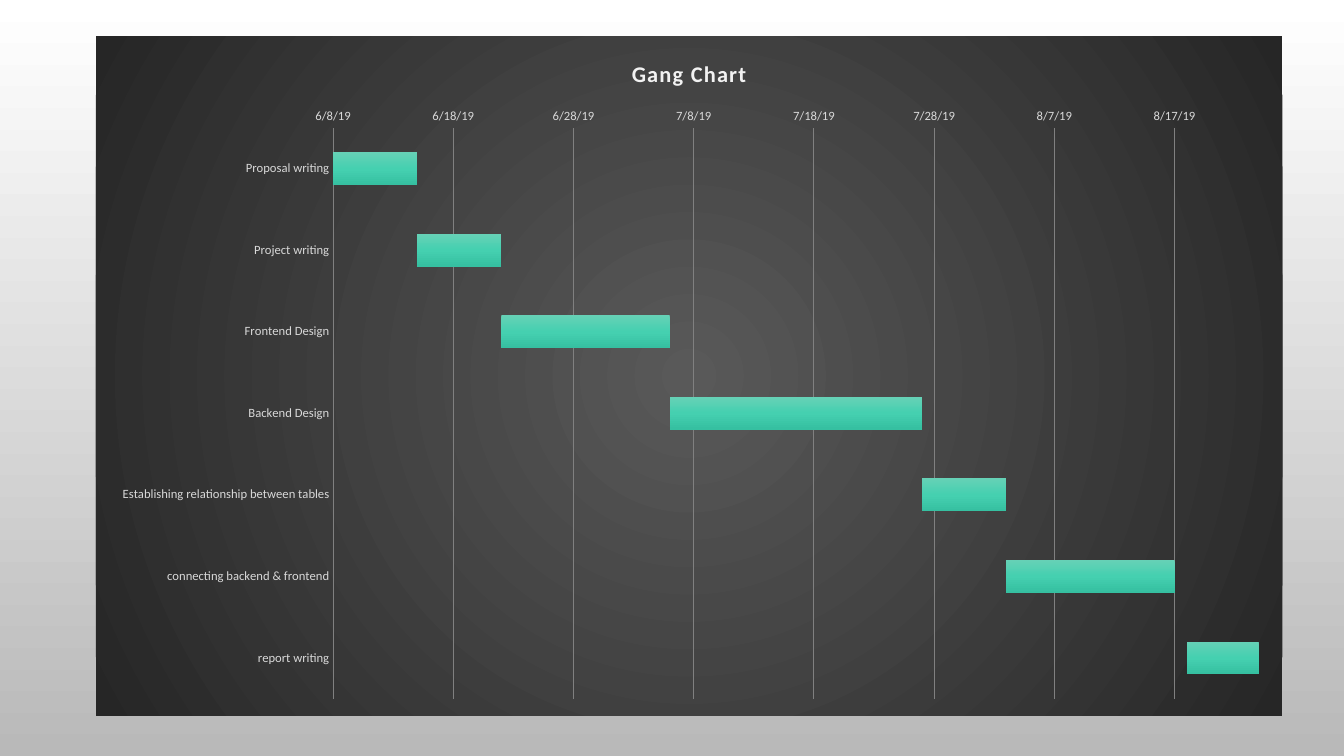
from lxml import etree
from pptx import Presentation
from pptx import util as u
from pptx.chart.data import CategoryChartData
from pptx.dml.color import RGBColor
from pptx.enum import chart as charts
from pptx.oxml import parse_xml
from pptx.oxml.ns import nsdecls, qn

TITLE = "Gang Chart"
TASKS = [
    ("Proposal writing", 43624, 7),
    ("Project writing", 43631, 7),
    ("Frontend Design", 43638, 14),
    ("Backend Design", 43652, 21),
    ("Establishing relationship between tables", 43673, 7),
    ("connecting backend & frontend", 43680, 14),
    ("report writing", 43695, 7),
]
FIRST_DAY, LAST_DAY, DAY_STEP = 43624, 43701, 10
SLIDE_SIZE = 13.33, 7.5
CHART_BOX = 0.95, 0.36, 11.77, 6.74
PLOT_SHARES = {"x": 0.2, "y": 0.135, "w": 0.78, "h": 0.84}

FONT = "Calibri"
BLACK = RGBColor(0x00, 0x00, 0x00)
TITLE_COLOR = RGBColor(0xF2, 0xF2, 0xF2)
LABEL_COLOR = RGBColor(0xD9, 0xD9, 0xD9)
GRID_COLOR = RGBColor(0x80, 0x80, 0x80)
PAGE_STOPS = [(0, RGBColor(0xFF, 0xFF, 0xFF)), (100, RGBColor(0xB9, 0xB9, 0xB9))]
PANEL_STOPS = [(0, RGBColor(0x59, 0x59, 0x59)), (100, RGBColor(0x26, 0x26, 0x26))]
BAR_STOPS = [
    (0, RGBColor(0x66, 0xD1, 0xB6)),
    (50, RGBColor(0x45, 0xD0, 0xB0)),
    (100, RGBColor(0x36, 0xC0, 0xA1)),
]
DOWNWARD = '<a:lin ang="5400000" scaled="0"/>'
FROM_CENTRE = (
    '<a:path path="circle"><a:fillToRect l="50000" t="50000" r="50000" b="50000"/></a:path>'
)


def set_gradient(element, stops, direction):
    """Replace the gradient found inside an element."""
    marks = "".join(
        f'<a:gs pos="{share * 1000}"><a:srgbClr val="{color}"/></a:gs>' for share, color in stops
    )
    gradient = parse_xml(
        f'<a:gradFill {nsdecls("a")} rotWithShape="1"><a:gsLst>{marks}</a:gsLst>{direction}</a:gradFill>'
    )
    current = next(element.iter(qn("a:gradFill")))
    current.getparent().replace(current, gradient)


def set_font(font, size, color, bold=False):
    """Give a font its face, size, weight and colour."""
    font.name, font.size, font.bold = FONT, u.Pt(size), bold
    font.color.rgb = color


def write_title(frame, words, size, color, bold=False, spacing=0):
    """Write one formatted run into a text frame."""
    run = frame.paragraphs[0].add_run()
    run.text = words
    set_font(run.font, size, color, bold)
    run.font._element.set("spc", str(spacing * 100))


def place_plot(chart):
    """Fix the inner plot area as shares of the chart."""
    area = next(chart._chartSpace.iter(qn("c:plotArea")))
    for layout in area.findall(qn("c:layout")):
        area.remove(layout)
    layout = etree.Element(qn("c:layout"))
    manual = etree.SubElement(layout, qn("c:manualLayout"))
    settings = {"layoutTarget": "inner", "xMode": "edge", "yMode": "edge", **PLOT_SHARES}
    for name, value in settings.items():
        etree.SubElement(manual, qn(f"c:{name}")).set("val", str(value))
    area.insert(0, layout)


def paint_panel(chart):
    """Fill the chart area with a radial gradient."""
    panel = parse_xml(
        f'<c:spPr {nsdecls("c", "a")}><a:gradFill/><a:ln><a:noFill/></a:ln></c:spPr>'
    )
    set_gradient(panel, PANEL_STOPS, FROM_CENTRE)
    chart._chartSpace.find(qn("c:chart")).addnext(panel)


def style_axes(chart):
    """Format the task axis and the date axis."""
    tasks, dates = chart.category_axis, chart.value_axis
    for axis in (tasks, dates):
        axis.major_tick_mark = axis.minor_tick_mark = charts.XL_TICK_MARK.NONE
        axis.format.line.fill.background()
        set_font(axis.tick_labels.font, 9, LABEL_COLOR)
    tasks.reverse_order = True
    dates.minimum_scale, dates.maximum_scale = FIRST_DAY, LAST_DAY
    dates.major_unit = DAY_STEP
    dates.tick_labels.number_format = "m/d/yy"
    dates.tick_labels.number_format_is_linked = False
    dates.has_major_gridlines = True
    grid = dates.major_gridlines.format.line
    grid.width = u.Pt(0.75)
    grid.color.rgb = GRID_COLOR


def add_schedule(slide):
    """Add the stacked bar chart of tasks by date."""
    names, starts, lengths = zip(*TASKS)
    data = CategoryChartData()
    data.categories = names
    data.add_series("Series 1", starts)
    data.add_series("Series 2", lengths)
    box = [u.Inches(length) for length in CHART_BOX]
    chart = slide.shapes.add_chart(charts.XL_CHART_TYPE.BAR_STACKED, *box, data).chart
    set_font(chart.font, 10, BLACK)
    chart.has_legend = False
    chart.has_title = True
    write_title(chart.chart_title.text_frame, TITLE, 16, TITLE_COLOR, bold=True, spacing=1)
    chart.chart_title.include_in_layout = False

    plot = chart.plots[0]
    plot.gap_width, plot.overlap, plot.vary_by_categories = 150, 100, False
    offset, duration = plot.series
    offset.format.fill.background()
    duration.format.fill.gradient()
    set_gradient(duration._element, BAR_STOPS, DOWNWARD)
    for series in (offset, duration):
        series.format.line.fill.background()
    style_axes(chart)
    place_plot(chart)
    paint_panel(chart)


def main():
    """Build and save the schedule slide."""
    presentation = Presentation()
    presentation.slide_width, presentation.slide_height = map(u.Inches, SLIDE_SIZE)
    slide = presentation.slides.add_slide(presentation.slide_layouts[6])
    slide.background.fill.gradient()
    set_gradient(slide._element, PAGE_STOPS, DOWNWARD)
    add_schedule(slide)
    presentation.save("out.pptx")


if __name__ == "__main__":
    main()
